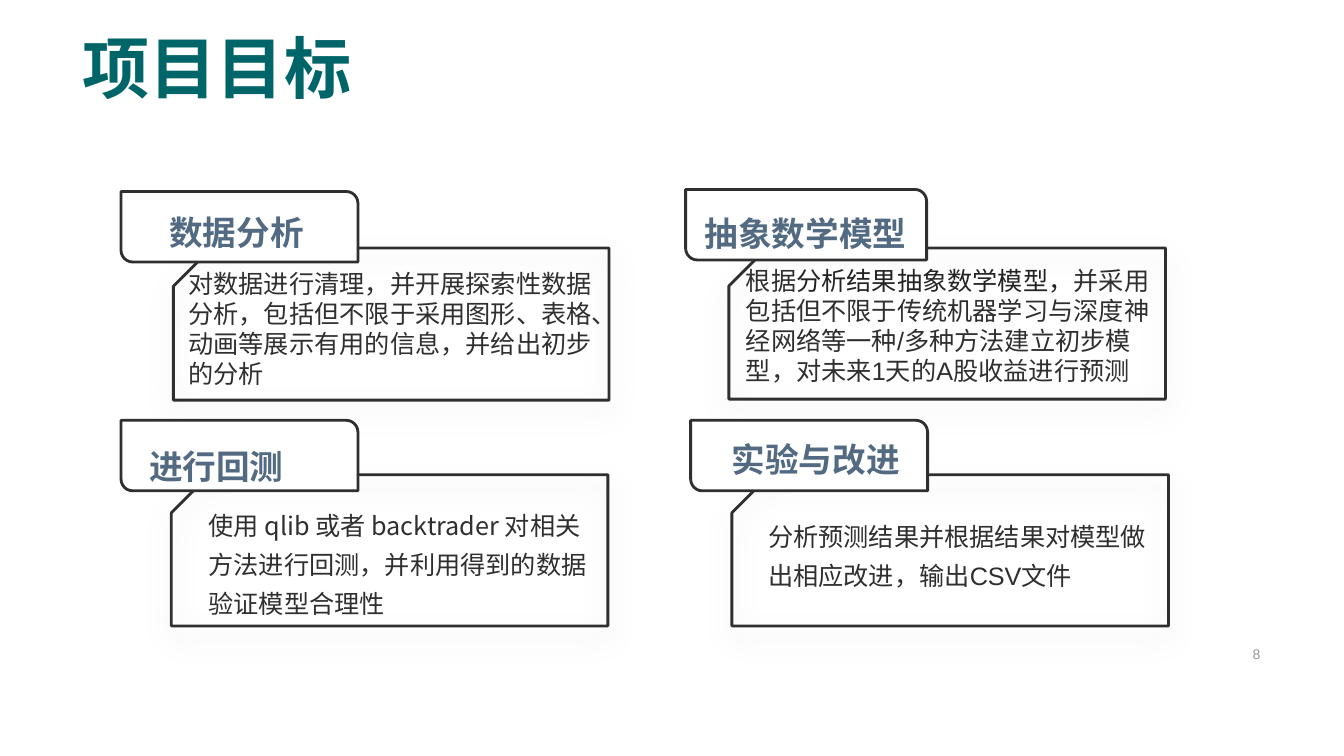
from dataclasses import dataclass

from lxml import etree
from pptx import Presentation
from pptx.dml.color import RGBColor
from pptx.enum.shapes import MSO_SHAPE
from pptx.enum.text import MSO_ANCHOR, MSO_AUTO_SIZE, PP_ALIGN
from pptx.oxml import parse_xml
from pptx.oxml.ns import nsdecls, qn
from pptx.util import Inches, Pt


@dataclass(frozen=True)
class Theme:
    """Colours, fonts and sizes in points."""
    title: str = "006568"
    label: str = "536B82"
    ink: str = "2F2F2F"
    dark: str = "232323"
    grey: str = "979797"
    paper: str = "FFFFFF"
    cjk: str = "Noto Sans CJK SC"
    latin: str = "Arial"
    title_size: int = 48
    label_size: int = 24
    body_size: int = 18
    number_size: int = 10
    line: int = 2


@dataclass(frozen=True)
class Box:
    """A rectangle in inches."""
    x: float
    y: float
    w: float
    h: float


@dataclass(frozen=True)
class Style:
    """How a piece of text is set."""
    size: int
    color: str
    font: str
    bold: bool = False
    spacing: float = 1.0
    align: PP_ALIGN = PP_ALIGN.LEFT
    anchor: MSO_ANCHOR = MSO_ANCHOR.TOP
    grow: bool = True


@dataclass(frozen=True)
class Run:
    """Text with an optional colour of its own."""
    text: str
    color: str = ""


@dataclass(frozen=True)
class Card:
    """A goal in a grid cell; its boxes are measured from the cell's corner."""
    col: int
    row: int
    tab: Box
    panel: Box
    label_box: Box
    label: str
    body_box: Box
    body: tuple[Run, ...]
    body_font: str
    body_spacing: float


T = Theme()
GRID = Box(1.2, 1.9, 5.65, 2.27)  # first corner, column step, row step
CARDS = (
    Card(0, 0, Box(0, 0, 2.35, 0.7), Box(0.52, 0.56, 4.32, 1.51),
         Box(0.38, -0.05, 1.98, 0.64), "数据分析", Box(0.57, 0.71, 4.27, 1.31),
         (Run("对数据进行清理，并开展探索性数据分析，包括但不限于采用图形、表格、"
              "动画等展示有用的信息，并给出初步的分析"),), T.latin, 1.0),
    Card(1, 0, Box(-0.05, -0.02, 2.39, 0.7), Box(0.38, 0.56, 4.33, 1.5),
         Box(0.04, -0.04, 2.26, 0.64), "抽象数学模型", Box(0.45, 0.68, 4.26, 1.31),
         (Run("根据"), Run("分析结果抽象数学模型，", T.dark),
          Run("并采用包括但不限于传统机器学习与深度神经网络等一种/多种方法"
              "建立初步模型，对未来1天的A股收益进行预测")), T.latin, 1.0),
    Card(0, 1, Box(0, 0, 2.35, 0.7), Box(0.5, 0.54, 4.33, 1.5),
         Box(0.18, 0, 1.99, 0.64), "进行回测", Box(0.77, 0.75, 4.1, 1.25),
         (Run("使用 qlib 或者 backtrader 对相关方法进行回测，并利用得到的数据"
              "验证模型合理性"),), T.cjk, 1.3),
    Card(1, 1, Box(0, 0, 2.35, 0.7), Box(0.41, 0.54, 4.33, 1.5),
         Box(0.31, -0.06, 2.04, 0.64), "实验与改进", Box(0.67, 0.86, 4.03, 0.86),
         (Run("分析预测结果并根据结果对模型做出相应改进，输出CSV文件"),), T.latin, 1.3),
)


def emu(box: Box) -> tuple:
    """Turn a box into the lengths that python-pptx takes."""
    return tuple(Inches(v) for v in (box.x, box.y, box.w, box.h))


def in_cell(card: Card, box: Box) -> Box:
    """Move a box from its card's cell to the slide."""
    return Box(GRID.x + card.col * GRID.w + box.x,
               GRID.y + card.row * GRID.h + box.y, box.w, box.h)


def add_text(slide, box: Box, runs: tuple[Run, ...], style: Style) -> None:
    """Add a wrapped text box with one paragraph."""
    frame = slide.shapes.add_textbox(*emu(box)).text_frame
    frame.word_wrap = True
    frame.vertical_anchor = style.anchor
    frame.auto_size = (MSO_AUTO_SIZE.SHAPE_TO_FIT_TEXT if style.grow
                       else MSO_AUTO_SIZE.NONE)
    paragraph = frame.paragraphs[0]
    paragraph.alignment = style.align
    paragraph.line_spacing = style.spacing
    for item in runs:
        run = paragraph.add_run()
        run.text = item.text
        font = run.font
        font.size, font.bold, font.name = Pt(style.size), style.bold, style.font
        font.color.rgb = RGBColor.from_string(item.color or style.color)
        east_asian = etree.SubElement(run._r.get_or_add_rPr(), qn("a:ea"))
        east_asian.set("typeface", T.cjk)


def add_outline(slide, kind: MSO_SHAPE, box: Box, flip: str):
    """Add a flipped, unfilled preset shape with a dark outline."""
    shape = slide.shapes.add_shape(kind, *emu(box))
    shape.shadow.inherit = False
    shape.fill.background()
    shape.line.color.rgb = RGBColor.from_string(T.ink)
    shape.line.width = Pt(T.line)
    shape._element.spPr.find(qn("a:xfrm")).set(flip, "1")
    return shape


def add_panel(slide, box: Box) -> None:
    """Add a panel with a cut corner and a soft shadow below."""
    panel = add_outline(slide, MSO_SHAPE.SNIP_ROUND_RECTANGLE, box, "flipH")
    panel.adjustments[0], panel.adjustments[1] = 0, 0.252
    effects = panel._element.spPr.find(qn("a:effectLst"))
    effects.append(parse_xml(
        f'<a:outerShdw {nsdecls("a")} blurRad="{Pt(20)}" dist="{Pt(8)}" '
        'dir="5400000" algn="t" rotWithShape="0"><a:srgbClr val="000000">'
        '<a:alpha val="12000"/></a:srgbClr></a:outerShdw>'))


def add_card(slide, card: Card) -> None:
    """Draw a goal: panel, tab, label and body."""
    add_panel(slide, in_cell(card, card.panel))
    tab = add_outline(slide, MSO_SHAPE.ROUND_2_DIAG_RECTANGLE,
                      in_cell(card, card.tab), "flipV")
    tab.fill.solid()
    tab.fill.fore_color.rgb = RGBColor.from_string(T.paper)
    add_text(slide, in_cell(card, card.label_box), (Run(card.label),),
             Style(T.label_size, T.label, T.cjk, bold=True, spacing=1.5))
    add_text(slide, in_cell(card, card.body_box), card.body,
             Style(T.body_size, T.ink, card.body_font, spacing=card.body_spacing))


def main() -> None:
    """Build and save the slide."""
    deck = Presentation()
    deck.slide_width, deck.slide_height = Inches(13.33), Inches(7.5)
    slide = deck.slides.add_slide(deck.slide_layouts[6])
    add_text(slide, Box(0.72, 0, 11.88, 1.12), (Run("项目目标"),),
             Style(T.title_size, T.title, T.cjk, bold=True, spacing=0.9,
                   anchor=MSO_ANCHOR.BOTTOM, grow=False))
    add_text(slide, Box(9.69, 6.37, 2.91, 0.24), (Run("8"),),
             Style(T.number_size, T.grey, T.latin, align=PP_ALIGN.RIGHT,
                   anchor=MSO_ANCHOR.MIDDLE, grow=False))
    for card in CARDS:
        add_card(slide, card)
    deck.save("out.pptx")


main()
